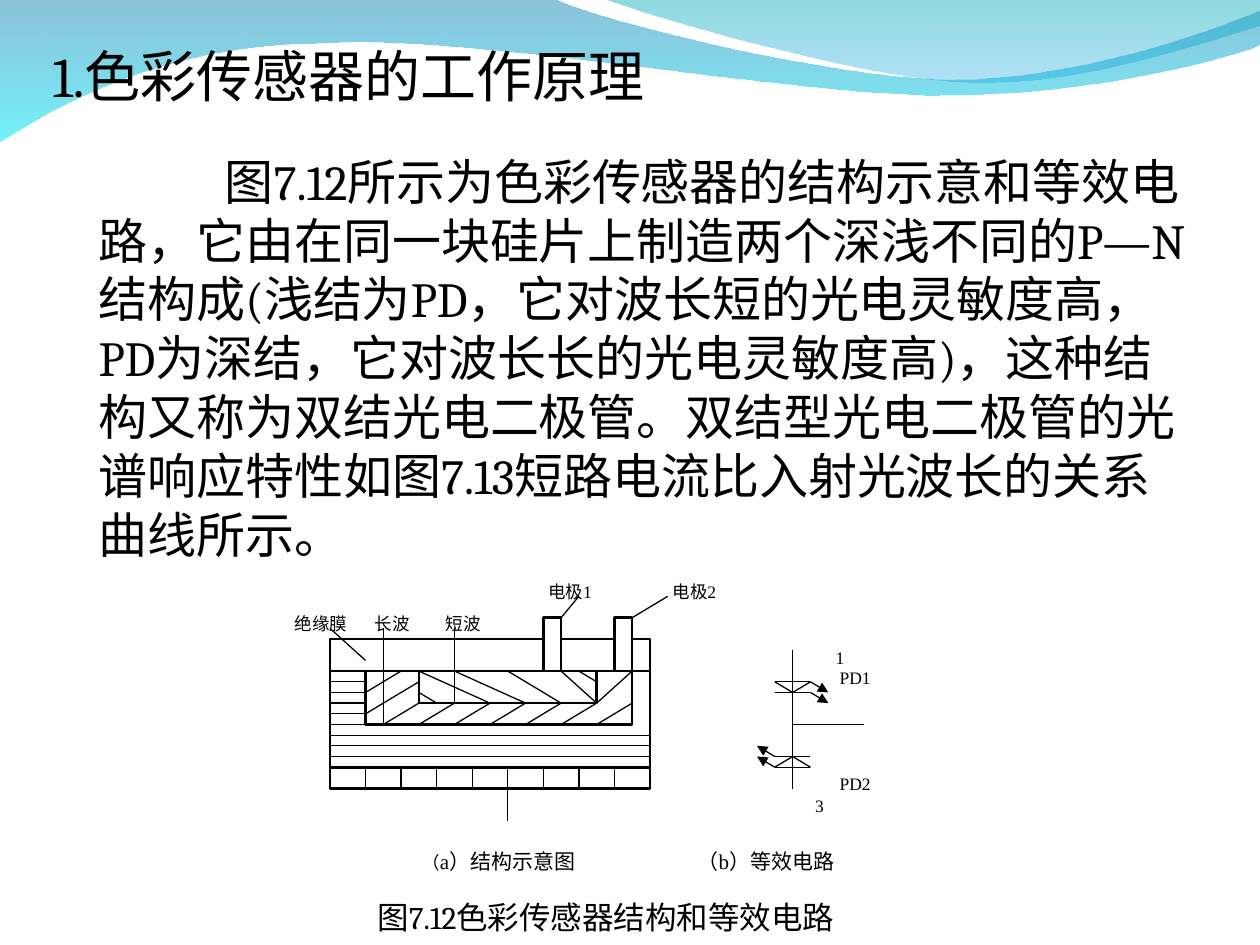
from dataclasses import dataclass

from pptx import Presentation
from pptx.dml.color import RGBColor
from pptx.enum.shapes import MSO_CONNECTOR, MSO_SHAPE
from pptx.enum.text import MSO_ANCHOR, MSO_AUTO_SIZE, PP_ALIGN
from pptx.oxml.ns import qn
from pptx.util import Emu, Pt
from lxml.etree import SubElement

PX = 914400 / 126


@dataclass(frozen=True)
class Theme:
    ink = RGBColor(0, 0, 0)
    paper = RGBColor(255, 255, 255)
    main_font = "Cambria"
    figure_font = "Times New Roman"
    title_size = 32
    body_size = 28
    caption_size = 18
    part_size = 12
    label_size = 10
    thick = 1.5
    thin = 0.75
    band_stops = (("0079AF", 45), ("00EBF8", 55))
    crest_stops = (("00ADB6", 45), ("009BE5", 30))


THEME = Theme()

BAND_START = (0, -1)
BAND = [
    [(554, -1)],
    [(600, 21), (837, 79), (955, 79)],
    [(1075, 79), (1207, 33), (1260, 11)],
    [(1261, 45)],
    [(1239, 55), (1096, 96), (940, 95)],
    [(784, 95), (481, 35), (324, 43)],
    [(163, 44), (58, 105), (-1, 142)],
]
CREST_START = (604, -1)
CREST = [
    [(641, 14), (859, 78), (969, 82)],
    [(1079, 87), (1211, 40), (1260, 26)],
    [(1260, 0)],
]

BODY_TEXT = (
    "图7.12所示为色彩传感器的结构示意和等效电路，它由在同一块硅片上制造两个深浅不同的"
    "P—N结构成(浅结为PD，它对波长短的光电灵敏度高，PD为深结，它对波长长的光电灵敏度高)，"
    "这种结构又称为双结光电二极管。双结型光电二极管的光谱响应特性如图7.13"
    "短路电流比入射光波长的关系曲线所示。"
)


def px(length):
    return Emu(round(length * PX))


def place(part, left, top, width, height):
    part.left, part.top, part.width, part.height = map(px, (left, top, width, height))


def style(font, size, name):
    font.size, font.name = Pt(size), name
    font.color.rgb = THEME.ink


def set_text(part, text, size, wrap=True):
    frame = part.text_frame
    frame.text = text
    frame.word_wrap = wrap
    frame.auto_size = MSO_AUTO_SIZE.NONE
    frame.vertical_anchor = MSO_ANCHOR.TOP
    paragraph = frame.paragraphs[0]
    paragraph.alignment = PP_ALIGN.LEFT
    paragraph.space_before = Pt(0)
    style(paragraph.font, size, THEME.main_font)
    return paragraph


def bend(wave, segments):
    steps = iter(list(wave._element.spPr.iter(qn("a:lnTo"))))
    for segment in segments:
        corners = [next(steps) for _ in segment]
        if len(corners) == 3:
            arc = corners[0].makeelement(qn("a:cubicBezTo"))
            corners[0].addprevious(arc)
            for corner in corners:
                arc.append(corner[0])
                corner.getparent().remove(corner)


def draw_wave(slide, start, segments, stops, depth):
    builder = slide.shapes.build_freeform(*start, scale=PX)
    builder.add_line_segments([point for segment in segments for point in segment], close=True)
    wave = builder.convert_to_shape()
    bend(wave, segments)
    wave.shadow.inherit = False
    wave.line.fill.background()
    wave.fill.gradient()
    wave.fill.gradient_angle = 270
    for stop, (color, _) in zip(wave.fill.gradient_stops, stops):
        stop.color.rgb = RGBColor.from_string(color)
    colors = list(wave._element.spPr.iter(qn("a:srgbClr")))
    for color, (_, opacity) in zip(colors, stops):
        SubElement(color, qn("a:alpha"), val=str(opacity * 1000))
    slide.shapes._spTree.insert(2 + depth, wave._element)


class Grid:
    def __init__(self, shapes, left, top, width, height, columns, rows):
        self.shapes = shapes
        self.left, self.top = left, top
        self.column, self.row = width / columns, height / rows

    def x(self, column):
        return px(self.left + column * self.column)

    def y(self, row):
        return px(self.top + row * self.row)

    def line(self, x1, y1, x2, y2, weight=THEME.thin, arrow=False):
        wire = self.shapes.add_connector(
            MSO_CONNECTOR.STRAIGHT, self.x(x1), self.y(y1), self.x(x2), self.y(y2))
        wire.line.color.rgb = THEME.ink
        wire.line.width = Pt(weight)
        if arrow:
            SubElement(wire.line._get_or_add_ln(), qn("a:tailEnd"), type="triangle")
        SubElement(wire._element.spPr, qn("a:effectLst"))
        return wire

    def block(self, x1, y1, x2, y2):
        layer = self.shapes.add_shape(
            MSO_SHAPE.RECTANGLE, self.x(x1), self.y(y1),
            self.x(x2) - self.x(x1), self.y(y2) - self.y(y1))
        layer.shadow.inherit = False
        layer.fill.solid()
        layer.fill.fore_color.rgb = THEME.paper
        layer.line.color.rgb = THEME.ink
        layer.line.width = Pt(THEME.thick)
        return layer

    def label(self, text, column, row, columns=5, size=THEME.label_size, small_lead=0):
        note = self.shapes.add_textbox(
            self.x(column), self.y(row), px(columns * self.column), px(2 * self.row))
        note.text_frame.word_wrap = True
        paragraph = note.text_frame.paragraphs[0]
        paragraph.alignment = PP_ALIGN.CENTER
        style(paragraph.font, size, THEME.figure_font)
        if small_lead:
            lead = paragraph.add_run()
            lead.text = text[:small_lead]
            lead.font.size = Pt(THEME.label_size)
        paragraph.add_run().text = text[small_lead:]


def draw_structure(shapes, left, top, width, height):
    grid = Grid(shapes, left, top, width, height, columns=18, rows=25)
    chip = grid.block(0, 6, 18, 20)
    for row in (9, 18):
        grid.line(0, row, 18, row, THEME.thick)
    grid.block(12, 4, 13, 9)
    grid.block(2, 9, 17, 14)
    shallow = grid.block(5, 9, 15, 12)
    grid.block(16, 4, 17, 9)

    shallow_hatch = [(5, 9, 9, 12), (7, 9, 11, 12), (5, 11, 6, 12), (13, 9, 15, 12), (14, 9, 15, 10)]
    deep_hatch = [(4, 9, 2, 11), (5, 10, 2, 13), (17, 9, 15, 12)]
    deep_hatch += [(column, 12, column - 2, 14) for column in range(5, 18, 2)]
    substrate = [(0, row, 2, row) for row in (10, 11, 12, 14)]
    substrate += [(0, row, 18, row) for row in (15, 16, 17)]
    base = [(column, 18, column, 20) for column in range(2, 17, 2)]
    leaders = [(10, 20, 10, 23), (0, 5, 2, 8), (3, 5, 3, 14), (7, 5, 7, 12),
               (13, 4, 14, 2), (17, 4, 19, 2)]
    for ends in shallow_hatch + deep_hatch + substrate + base + leaders:
        grid.line(*ends)
    grid.line(10, 9, 13, 12).begin_connect(shallow, 0)
    grid.line(0, 13, 2, 13).begin_connect(chip, 1)

    for text, column, row in (("绝缘膜", -3, 3), ("长波", 1, 3), ("短波", 5, 3),
                              ("电极1", 11, 0), ("电极2", 18, 0)):
        grid.label(text, column, row)
    grid.label("（a）结构示意图", 3, 25, 13, THEME.part_size, small_lead=1)


def draw_circuit(shapes, left, top, width, height):
    grid = Grid(shapes, left, top, width, height, columns=6, rows=25)
    wires = [(2, 7, 2, 20), (2, 14, 6, 14)]
    for tip, base in ((11, 10), (17, 18)):
        wires += [(1, tip, 3, tip), (1, base, 3, base), (2, tip, 1, base), (2, tip, 3, base)]
    for ends in wires:
        grid.line(*ends)
    for row in (10, 11):
        grid.line(3, row, 4, row + 1, arrow=True)
    for row in (18, 17):
        grid.line(1, row, 0, row - 1, arrow=True)
    for text, column, row in (("1", 2.15, 6.15), ("PD1", 3, 8), ("PD2", 3, 18), ("3", 1, 20)):
        grid.label(text, column, row)
    grid.label("（b）等效电路", -6, 25, 13, THEME.part_size)


def main():
    deck = Presentation()
    deck.slide_width, deck.slide_height = px(1260), px(945)
    slide = deck.slides.add_slide(deck.slide_layouts[1])
    title, body = slide.placeholders

    draw_wave(slide, BAND_START, BAND, THEME.band_stops, 0)
    draw_wave(slide, CREST_START, CREST, THEME.crest_stops, 1)

    place(title, 40, 35, 644, 81)
    set_text(title, "1.色彩传感器的工作原理", THEME.title_size, wrap=False)

    place(body, 86, 145, 1121, 484)
    explanation = set_text(body, BODY_TEXT, THEME.body_size)
    properties = explanation._p.get_or_add_pPr()
    properties.set("marL", "0")
    properties.set("indent", str(px(126)))
    bullet_none = properties.makeelement(qn("a:buNone"))
    properties.find(qn("a:defRPr")).addprevious(bullet_none)

    figure = slide.shapes.add_group_shape().shapes
    draw_structure(figure, 330, 575, 320, 267)
    draw_circuit(figure, 757, 575, 107, 267)

    caption = slide.shapes.add_textbox(px(365), px(892), px(510), px(50))
    set_text(caption, "图7.12色彩传感器结构和等效电路", THEME.caption_size, wrap=False)

    deck.save("out.pptx")


if __name__ == "__main__":
    main()
